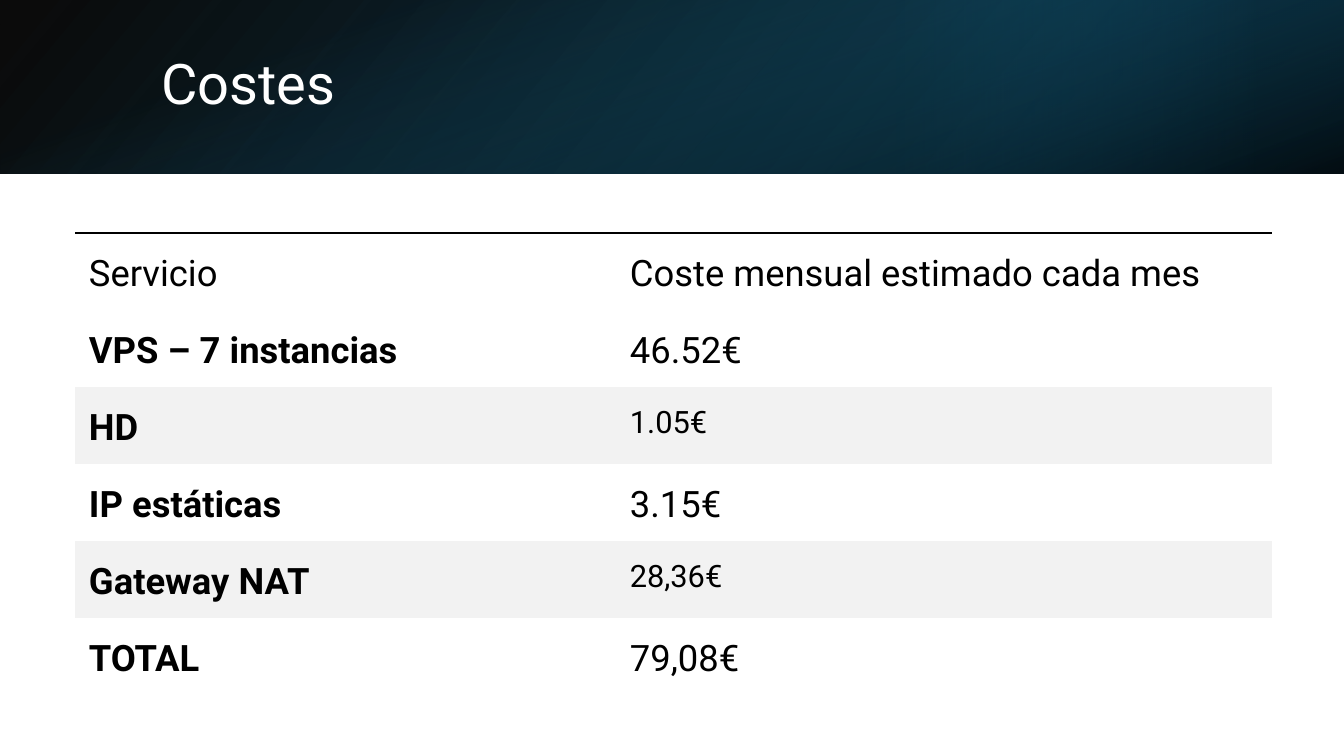
from dataclasses import dataclass

from lxml.etree import SubElement
from pptx import Presentation
from pptx.dml.color import RGBColor as RGB
from pptx.enum.shapes import MSO_SHAPE as SHAPE
from pptx.enum.text import MSO_ANCHOR as ANCHOR, PP_ALIGN as ALIGN
from pptx.oxml import parse_xml
from pptx.oxml.ns import nsdecls, qn
from pptx.util import Pt

PX = 914400 / 100.8


def px(n):
    return round(n * PX)


@dataclass(frozen=True)
class Theme:
    font: str = "Roboto"
    black: str = "000000"
    white: str = "FFFFFF"
    navy: str = "104862"
    deep: str = "0B3041"
    teal: str = "156082"
    band: str = "F2F2F2"
    title: int = 40
    body: int = 26
    small: int = 22
    rule: float = 2.25


class Deck:
    def __init__(self, theme):
        self.theme = theme
        self.prs = Presentation()
        self.prs.slide_width, self.prs.slide_height = px(1344), px(756)
        self.s = self.prs.slides.add_slide(self.prs.slide_layouts[5])

    def style(self, p, size, color, bold=False):
        f = p.font
        f.name, f.size, f.bold = self.theme.font, Pt(size), bold
        f.color.rgb = RGB.from_string(color)

    def gradient(self, box, stops, angle, rotation=0, flip=False):
        sp = self.s.shapes.add_shape(SHAPE.RECTANGLE, *map(px, box))
        sp.shadow.inherit = False
        sp.line.fill.background()
        sp.rotation = rotation
        if flip:
            sp._element.spPr.find(qn("a:xfrm")).set("flipH", "1")
        sp.fill.gradient()
        sp.fill.gradient_angle = -angle % 360
        for stop, (position, color, alpha) in zip(sp.fill.gradient_stops, stops):
            stop.position = position / 100
            stop.color.rgb = RGB.from_string(color)
            clr = stop._gs.find(qn("a:srgbClr"))
            SubElement(clr, qn("a:alpha")).set("val", str(alpha * 1000))

    def title(self, text, box):
        sp = self.s.shapes.title
        sp.left, sp.top, sp.width, sp.height = map(px, box)
        self.s.shapes._spTree.append(sp._element)
        tf = sp.text_frame
        tf.text, tf.vertical_anchor, tf.word_wrap = text, ANCHOR.MIDDLE, True
        p = tf.paragraphs[0]
        p.alignment, p.line_spacing = ALIGN.LEFT, 0.9
        self.style(p, self.theme.title, self.theme.white)

    def table(self, rows, left, top, widths, row_height):
        shape = self.s.shapes.add_table(
            len(rows), len(widths), px(left), px(top),
            px(sum(widths)), px(row_height * len(rows)))
        tbl = shape.table
        tbl.first_row = tbl.horz_banding = False
        style_id = tbl._tbl.tblPr.find(qn("a:tableStyleId"))
        style_id.text = "{2D5ABB26-0587-4C30-8999-92F81FD0307C}"
        for col, width in zip(tbl.columns, widths):
            col.width = px(width)
        for i, row in enumerate(rows):
            tbl.rows[i].height = px(row_height)
            banded = i > 0 and i % 2 == 0
            for j, text in enumerate(row):
                self.cell(tbl.cell(i, j), text, banded, i > 0 and j == 0)
                if i == 0:
                    self.top_rule(tbl.cell(i, j))

    def cell(self, cell, text, banded, bold):
        t = self.theme
        cell.margin_left = cell.margin_right = px(14)
        cell.margin_top = cell.margin_bottom = px(13)
        if banded:
            cell.fill.solid()
            cell.fill.fore_color.rgb = RGB.from_string(t.band)
        else:
            cell.fill.background()
        cell.text = text
        p = cell.text_frame.paragraphs[0]
        p.alignment, p.line_spacing, p.space_after = ALIGN.JUSTIFY, 1.15, Pt(8)
        self.style(p, t.small if banded and not bold else t.body, t.black, bold)

    def top_rule(self, cell):
        t = self.theme
        line = parse_xml(
            f'<a:lnT {nsdecls("a")} w="{Pt(t.rule)}"><a:solidFill>'
            f'<a:srgbClr val="{t.black}"/></a:solidFill></a:lnT>')
        cell._tc.get_or_add_tcPr().insert(0, line)


def main():
    t = Theme()
    deck = Deck(t)
    deck.gradient((0, 0, 1344, 174), [(0, t.black, 96), (100, t.navy, 100)],
                  140, flip=True)
    deck.gradient((896, 0, 448, 174), [(19, t.deep, 68), (100, t.teal, 0)],
                  0, rotation=180)
    deck.gradient((585, -585, 174, 1344), [(23, t.teal, 0), (99, t.black, 74)],
                  340, rotation=90)
    deck.title("Costes", (151, 38, 1107, 97))
    deck.table([
        ("Servicio", "Coste mensual estimado cada mes"),
        ("VPS – 7 instancias", "46.52€"),
        ("HD", "1.05€"),
        ("IP estáticas", "3.15€"),
        ("Gateway NAT", "28,36€"),
        ("TOTAL", "79,08€"),
    ], left=75, top=233, widths=(541, 656), row_height=77)
    deck.prs.save("out.pptx")


if __name__ == "__main__":
    main()
